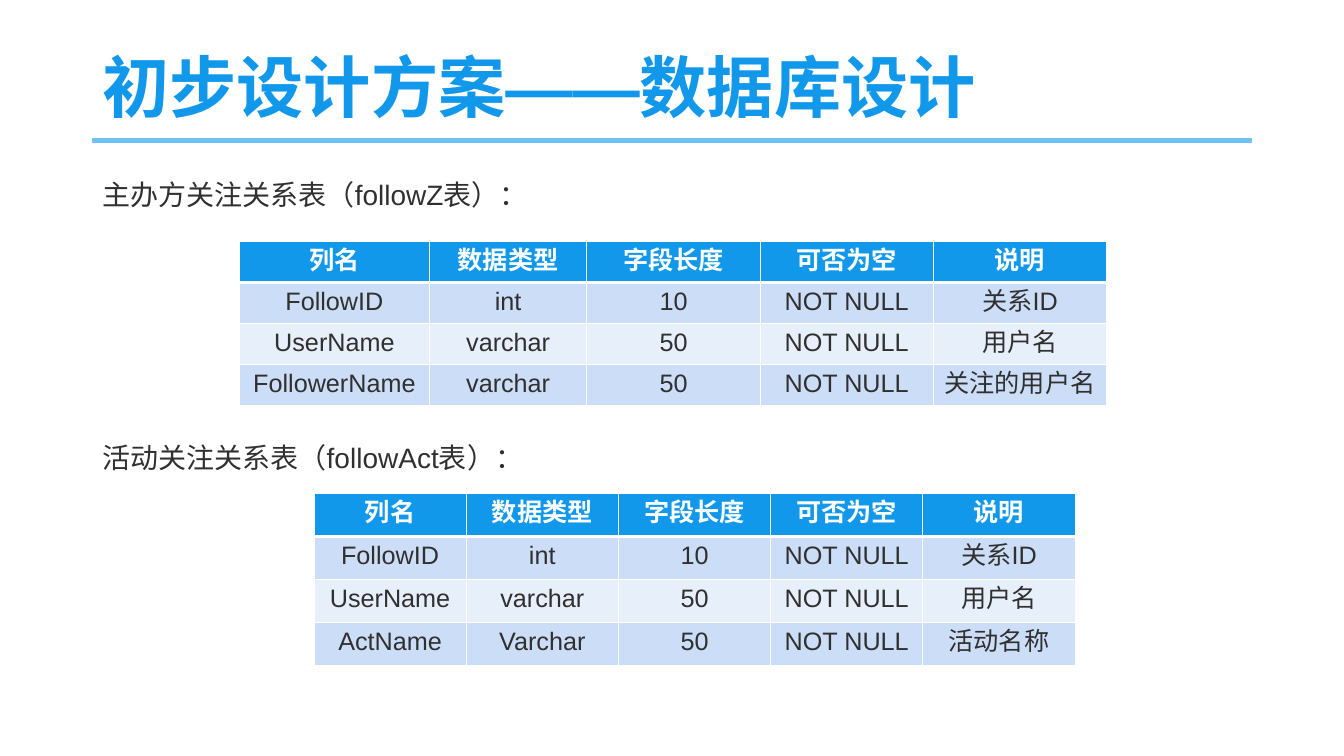
from lxml import etree
from pptx import Presentation
from pptx import util as u
from pptx.dml.color import RGBColor
from pptx.enum import shapes, text
from pptx.oxml import ns

PX = 9525
BLUE = RGBColor(0x11, 0x98, 0xEB)
RULE = RGBColor(0x6F, 0xC2, 0xF5)
INK = RGBColor(0x30, 0x30, 0x30)
WHITE = RGBColor(0xFF, 0xFF, 0xFF)
BANDS = (RGBColor(0xE7, 0xEF, 0xFB), RGBColor(0xCC, 0xDD, 0xF7))
FONT = "Arial"
HEADER = ("列名", "数据类型", "字段长度", "可否为空", "说明")
FOLLOW_Z = (
    HEADER,
    ("FollowID", "int", "10", "NOT NULL", "关系ID"),
    ("UserName", "varchar", "50", "NOT NULL", "用户名"),
    ("FollowerName", "varchar", "50", "NOT NULL", "关注的用户名"),
)
FOLLOW_ACT = FOLLOW_Z[:3] + (("ActName", "Varchar", "50", "NOT NULL", "活动名称"),)


def px(*lengths):
    """Turn pixel lengths into EMU."""
    return [u.Emu(n * PX) for n in lengths]


def add_run(p, words, size, color, bold=False):
    """Append one styled run to a paragraph."""
    r = p.add_run()
    r.text = words
    r.font.size = u.Pt(size)
    r.font.name = FONT
    r.font.bold = bold
    r.font.color.rgb = color
    etree.SubElement(r.font._element, ns.qn("a:ea"), typeface=FONT)


def add_text(s, box, words, size, color, spacing, bold=False, anchor=text.MSO_ANCHOR.TOP):
    """Place a wrapped single-paragraph text box."""
    tf = s.shapes.add_textbox(*px(*box)).text_frame
    tf.word_wrap = True
    tf.vertical_anchor = anchor
    p = tf.paragraphs[0]
    p.line_spacing = spacing
    add_run(p, words, size, color, bold)


def add_title(s, box, words):
    """Place the heading with a rule along its bottom edge."""
    x, y, w, h = box
    line = s.shapes.add_connector(
        shapes.MSO_CONNECTOR.STRAIGHT, *px(x, y + h, x + w, y + h))
    line.line.color.rgb = RULE
    line.line.width = u.Pt(3.5)
    etree.SubElement(line._element.spPr, ns.qn("a:effectLst"))
    add_text(s, box, words, 48, BLUE, 0.9, True, text.MSO_ANCHOR.MIDDLE)


def add_borders(cell, bottom):
    """Draw white cell borders with the given bottom width in points."""
    tcPr = cell._tc.get_or_add_tcPr()
    for side, width in zip("LRTB", (1, 1, 1, bottom)):
        ln = etree.SubElement(tcPr, ns.qn(f"a:ln{side}"), w=str(u.Pt(width)))
        fill = etree.SubElement(ln, ns.qn("a:solidFill"))
        etree.SubElement(fill, ns.qn("a:srgbClr"), val=str(WHITE))


def add_schema(s, origin, widths, row_height, rows):
    """Place a column-definition table at the given corner."""
    size = sum(widths), row_height * len(rows)
    table = s.shapes.add_table(len(rows), len(widths), *px(*origin, *size)).table
    for column, width in zip(table.columns, px(*widths)):
        column.width = width
    for i, row in enumerate(rows):
        head = i == 0
        for j, words in enumerate(row):
            cell = table.cell(i, j)
            add_borders(cell, 3 if head else 1)
            cell.fill.solid()
            cell.fill.fore_color.rgb = BLUE if head else BANDS[i % 2]
            p = cell.text_frame.paragraphs[0]
            p.alignment = text.PP_ALIGN.CENTER
            add_run(p, words, 18, WHITE if head else INK, head)


def main():
    """Build the database design slide."""
    prs = Presentation()
    prs.slide_width, prs.slide_height = px(1280, 720)
    s = prs.slides.add_slide(prs.slide_layouts[6])
    add_title(s, (88, 38, 1104, 96), "初步设计方案——数据库设计")
    add_text(s, (88, 155, 882, 55), "主办方关注关系表（followZ表）：", 20, INK, 1.3)
    add_schema(s, (228, 230, ), (181, 150, 165, 165, 165), 39, FOLLOW_Z)
    add_text(s, (88, 405, 882, 55), "活动关注关系表（followAct表）：", 20, INK, 1.3)
    add_schema(s, (299, 470), (145,) * 5, 41, FOLLOW_ACT)
    prs.save("out.pptx")


if __name__ == "__main__":
    main()
